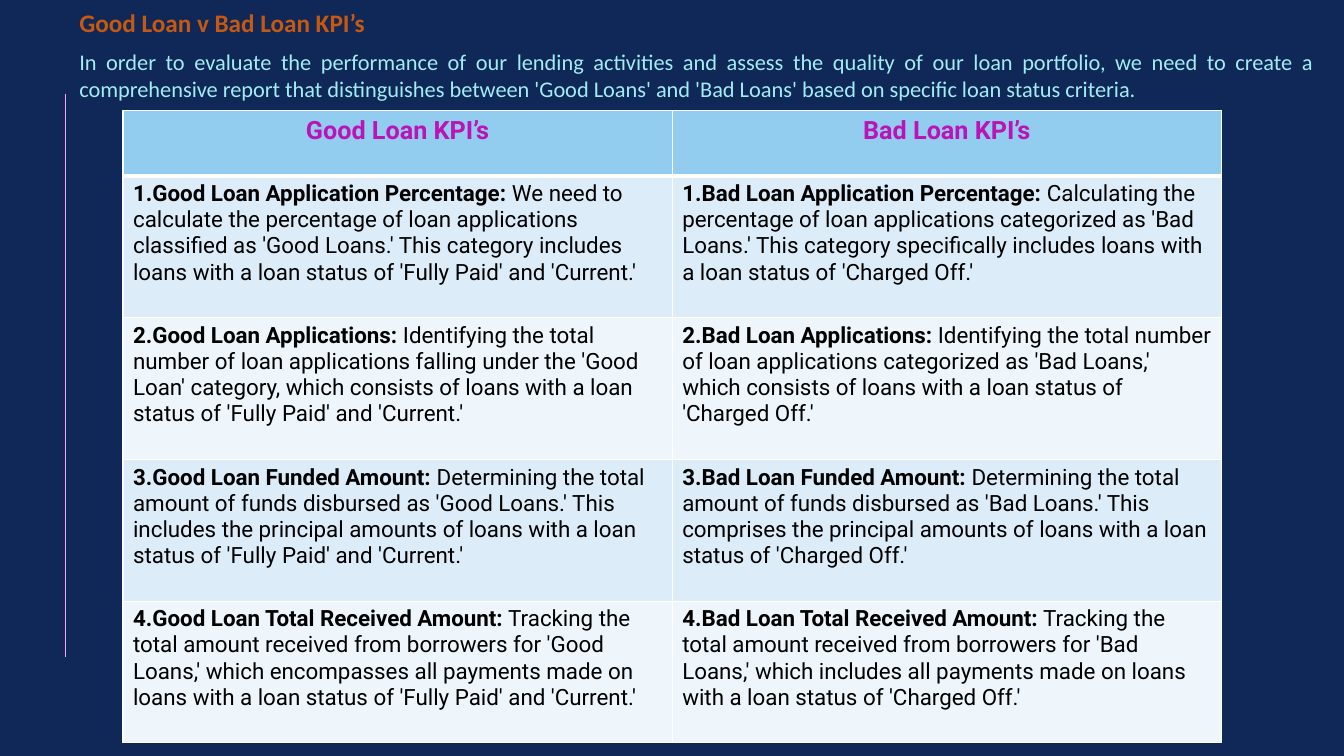
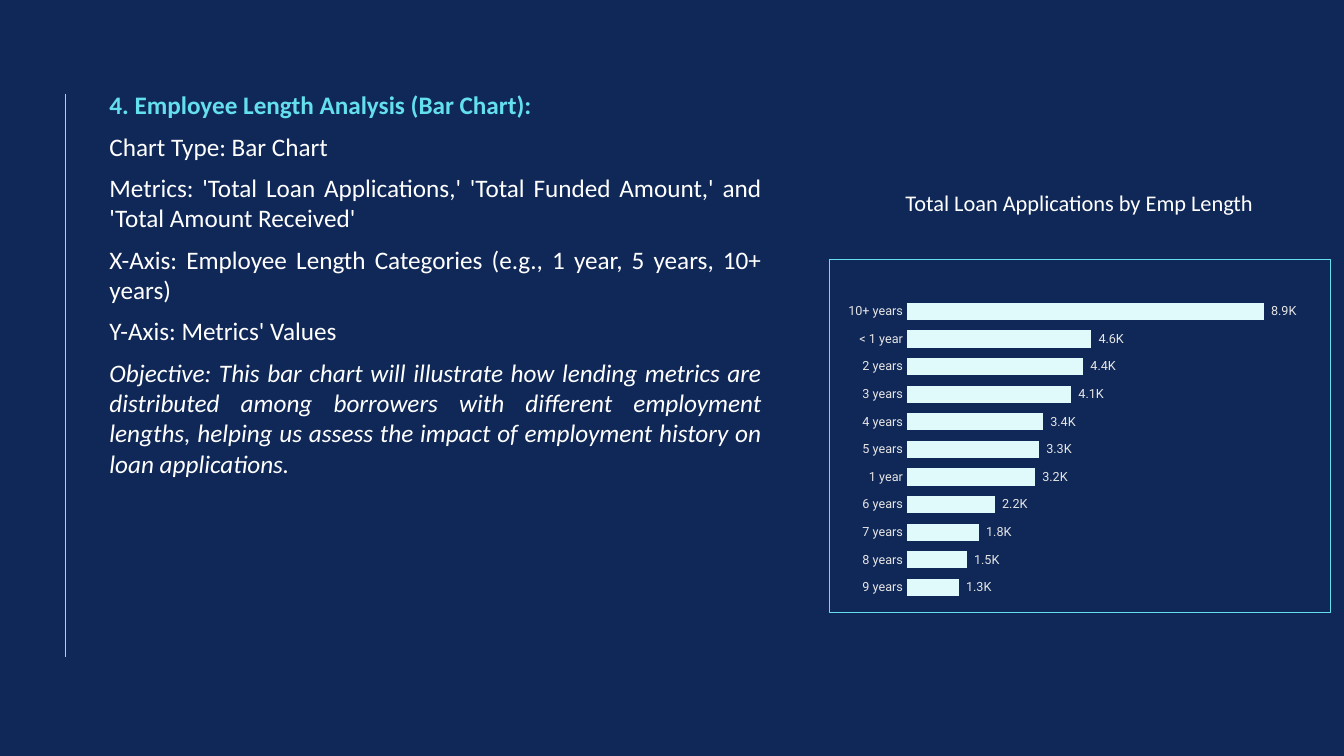
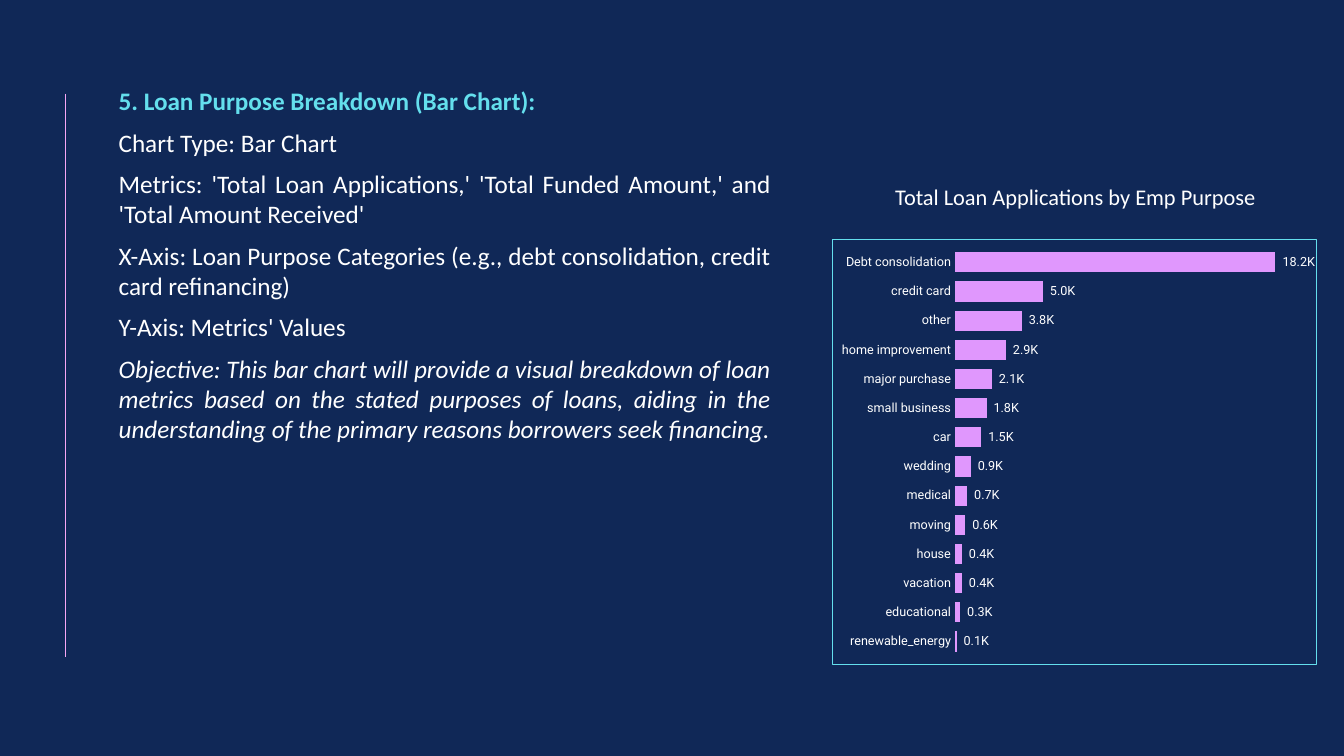
from lxml.etree import SubElement
from pptx import Presentation
from pptx.chart.data import CategoryChartData
from pptx.dml.color import RGBColor
from pptx.enum.chart import XL_CHART_TYPE, XL_LABEL_POSITION, XL_TICK_MARK
from pptx.enum.shapes import MSO_CONNECTOR
from pptx.enum.text import MSO_ANCHOR, PP_ALIGN
from pptx.oxml import parse_xml
from pptx.oxml.ns import nsdecls, qn
from pptx.util import Cm, Pt

NAVY = RGBColor(0x10, 0x28, 0x57)
PINK = RGBColor(0xF6, 0xA6, 0xF4)
WHITE = RGBColor(0xFF, 0xFF, 0xFF)
BLACK = RGBColor(0, 0, 0)
CYAN = RGBColor(0x64, 0xDF, 0xED)
PALE_CYAN = RGBColor(0xA2, 0xEC, 0xF4)
ICE = RGBColor(0xE0, 0xF9, 0xFB)
ORCHID = RGBColor(0xE0, 0x97, 0xFD)
GREY = RGBColor(0xE7, 0xE6, 0xE6)
ORANGE = RGBColor(0xC5, 0x59, 0x11)
MAGENTA = RGBColor(0xBB, 0x13, 0xB7)
HEADER_BLUE = RGBColor(0x92, 0xCD, 0xF0)
BAND_BLUES = (RGBColor(0xDC, 0xED, 0xF9), RGBColor(0xEE, 0xF6, 0xFC))

BODY_FONT = "Calibri"
DATA_FONT = "Roboto"
THOUSANDS = '\\ 0.0,"K"'

KPI_HEADERS = ("Good Loan KPI’s", "Bad Loan KPI’s")
KPI_ROWS = [
    (("1.Good Loan Application Percentage:",
      " We need to calculate the percentage of loan applications classified as 'Good Loans.' "
      "This category includes loans with a loan status of 'Fully Paid' and 'Current.'"),
     ("1.Bad Loan Application Percentage:",
      " Calculating the percentage of loan applications categorized as 'Bad Loans.' "
      "This category specifically includes loans with a loan status of 'Charged Off.'")),
    (("2.Good Loan Applications:",
      " Identifying the total number of loan applications falling under the 'Good Loan' "
      "category, which consists of loans with a loan status of 'Fully Paid' and 'Current.'"),
     ("2.Bad Loan Applications:",
      " Identifying the total number of loan applications categorized as 'Bad Loans,' "
      "which consists of loans with a loan status of 'Charged Off.'")),
    (("3.Good Loan Funded Amount:",
      " Determining the total amount of funds disbursed as 'Good Loans.' This includes "
      "the principal amounts of loans with a loan status of 'Fully Paid' and 'Current.'"),
     ("3.Bad Loan Funded Amount:",
      " Determining the total amount of funds disbursed as 'Bad Loans.' This comprises "
      "the principal amounts of loans with a loan status of 'Charged Off.'")),
    (("4.Good Loan Total Received Amount:",
      " Tracking the total amount received from borrowers for 'Good Loans,' which encompasses "
      "all payments made on loans with a loan status of 'Fully Paid' and 'Current.'"),
     ("4.Bad Loan Total Received Amount:",
      " Tracking the total amount received from borrowers for 'Bad Loans,' which includes "
      "all payments made on loans with a loan status of 'Charged Off.'")),
]
EMP_LENGTHS = {
    "9 years": 1300, "8 years": 1500, "7 years": 1800, "6 years": 2200,
    "1 year": 3200, "5 years": 3300, "4 years": 3400, "3 years": 4100,
    "2 years": 4400, "< 1 year": 4600, "10+ years": 8900,
}
PURPOSES = {
    "renewable_energy": 100, "educational": 300, "vacation": 400, "house": 400,
    "moving": 600, "medical": 700, "wedding": 900, "car": 1500,
    "small business": 1800, "major purchase": 2100, "home improvement": 2900,
    "other": 3800, "credit card": 5000, "Debt consolidation": 18200,
}


def style(font, size, color, name=BODY_FONT, bold=False, italic=False):
    font.size, font.name = Pt(size), name
    font.bold, font.italic = bold, italic
    font.color.rgb = color


def cm_box(box):
    return [Cm(length) for length in box]


def new_slide(prs):
    """Add a blank slide with the thin vertical rule at its left."""
    s = prs.slides.add_slide(prs.slide_layouts[6])
    rule = s.shapes.add_connector(MSO_CONNECTOR.STRAIGHT, Cm(1.65), Cm(2.36), Cm(1.65), Cm(16.56))
    rule.line.color.rgb = PINK
    rule.line.width = Pt(0.5)
    SubElement(rule._element.spPr, qn("a:effectLst"))
    return s


def add_text(s, box, paragraphs, align=PP_ALIGN.JUSTIFY, space_after=8, anchor=MSO_ANCHOR.TOP):
    """Write paragraphs given as (text, style options)."""
    tf = s.shapes.add_textbox(*cm_box(box)).text_frame
    tf.word_wrap = True
    tf.vertical_anchor = anchor
    for i, (text, options) in enumerate(paragraphs):
        p = tf.add_paragraph() if i else tf.paragraphs[0]
        p.text = text
        p.alignment = align
        p.space_after = Pt(space_after)
        style(p.runs[0].font, **options)


def fill_cell(cell, color, bottom_width=1):
    """Give a cell white borders and a plain fill."""
    tc_pr = cell._tc.get_or_add_tcPr()
    for side, width in (("L", 1), ("R", 1), ("T", 1), ("B", bottom_width)):
        ln = SubElement(tc_pr, qn(f"a:ln{side}"), w=str(Pt(width)))
        SubElement(SubElement(ln, qn("a:solidFill")), qn("a:srgbClr"), val=str(WHITE))
    cell.fill.solid()
    cell.fill.fore_color.rgb = color


def add_kpi_table(s, left, top, col_width, header_height, row_height):
    height = header_height + row_height * len(KPI_ROWS)
    box = cm_box((left, top, col_width * 2, height))
    table = s.shapes.add_table(len(KPI_ROWS) + 1, 2, *box).table
    for column in table.columns:
        column.width = Cm(col_width)
    for i, row in enumerate(table.rows):
        row.height = Cm(row_height if i else header_height)

    for cell, text in zip(table.rows[0].cells, KPI_HEADERS):
        fill_cell(cell, HEADER_BLUE, bottom_width=3)
        p = cell.text_frame.paragraphs[0]
        p.text = text
        p.alignment = PP_ALIGN.CENTER
        style(p.runs[0].font, 18, MAGENTA, DATA_FONT, bold=True)

    for i, kpis in enumerate(KPI_ROWS):
        for cell, kpi in zip(table.rows[i + 1].cells, kpis):
            fill_cell(cell, BAND_BLUES[i % 2])
            p = cell.text_frame.paragraphs[0]
            for text, bold in zip(kpi, (True, False)):
                r = p.add_run()
                r.text = text
                style(r.font, 16, BLACK, DATA_FONT, bold=bold)


def frame_chart(chart):
    border = parse_xml(
        f'<c:spPr {nsdecls("c", "a")}><a:noFill/><a:ln w="{Pt(0.75)}"><a:solidFill>'
        f'<a:srgbClr val="{CYAN}"/></a:solidFill></a:ln></c:spPr>')
    chart._chartSpace.find(qn("c:chart")).addnext(border)


def place_plot(chart, x, y, w, h):
    """Fix the inner plot area, in fractions of the chart."""
    plot_area = chart._chartSpace.find(qn("c:chart")).find(qn("c:plotArea"))
    for old in plot_area.findall(qn("c:layout")):
        plot_area.remove(old)
    layout = parse_xml(
        f'<c:layout {nsdecls("c")}><c:manualLayout><c:layoutTarget val="inner"/>'
        f'<c:xMode val="edge"/><c:yMode val="edge"/><c:x val="{x}"/><c:y val="{y}"/>'
        f'<c:w val="{w}"/><c:h val="{h}"/></c:manualLayout></c:layout>')
    plot_area.insert(0, layout)


def add_bar_chart(s, box, values, color, label_color, gap, plot_box=None):
    data = CategoryChartData(number_format=THOUSANDS)
    data.categories = list(values)
    data.add_series("Series 1", list(values.values()))
    chart = s.shapes.add_chart(XL_CHART_TYPE.BAR_CLUSTERED, *cm_box(box), data).chart
    chart.has_title = chart.has_legend = False
    style(chart.font, 10, BLACK, DATA_FONT)
    frame_chart(chart)
    if plot_box:
        place_plot(chart, *plot_box)

    axis = chart.category_axis
    axis.major_tick_mark = axis.minor_tick_mark = XL_TICK_MARK.NONE
    axis.format.line.fill.background()
    style(axis.tick_labels.font, 9, label_color, DATA_FONT)
    chart.value_axis.visible = False
    chart.value_axis.has_major_gridlines = False

    plot = chart.plots[0]
    plot.gap_width = gap
    plot.vary_by_categories = False
    series = plot.series[0]
    series.format.fill.solid()
    series.format.fill.fore_color.rgb = color
    labels = series.data_labels
    labels.show_value = True
    labels.position = XL_LABEL_POSITION.OUTSIDE_END
    labels.number_format = THOUSANDS
    labels.number_format_is_linked = False
    style(labels.font, 9, label_color, DATA_FONT)


def kpi_slide(prs):
    s = new_slide(prs)
    add_kpi_table(s, 3.1, 2.79, 13.84, header_height=1.65, row_height=3.57)
    add_text(s, (1.75, 0.05, 31.62, 2.49), [
        ("Good Loan v Bad Loan KPI’s", dict(size=18, color=ORANGE, bold=True)),
        ("In order to evaluate the performance of our lending activities and assess the quality "
         "of our loan portfolio, we need to create a comprehensive report that distinguishes "
         "between 'Good Loans' and 'Bad Loans' based on specific loan status criteria.",
         dict(size=16, color=PALE_CYAN)),
    ])


def analysis_slide(prs, text_box, heading, x_axis, objective, caption, caption_box, **chart):
    """Build a slide with a description at left and a captioned bar chart at right."""
    s = new_slide(prs)
    body = dict(size=18, color=WHITE)
    add_text(s, text_box, [
        (heading, dict(size=18, color=CYAN, bold=True)),
        ("Chart Type: Bar Chart", body),
        ("Metrics: 'Total Loan Applications,' 'Total Funded Amount,' and "
         "'Total Amount Received'", body),
        (f"X-Axis: {x_axis}", body),
        ("Y-Axis: Metrics' Values", body),
        (f"Objective: This bar chart will {objective}", dict(body, italic=True)),
    ])
    add_bar_chart(s, **chart)
    add_text(s, caption_box, [(caption, dict(size=16, color=WHITE))],
             PP_ALIGN.CENTER, space_after=0, anchor=MSO_ANCHOR.MIDDLE)


def main():
    prs = Presentation()
    prs.slide_width, prs.slide_height = Cm(33.87), Cm(19.05)
    background = prs.slide_master.background.fill
    background.solid()
    background.fore_color.rgb = NAVY

    kpi_slide(prs)
    analysis_slide(
        prs, (2.51, 2.13, 16.94, 11.96),
        "4. Employee Length Analysis (Bar Chart):",
        "Employee Length Categories (e.g., 1 year, 5 years, 10+ years)",
        "illustrate how lending metrics are distributed among borrowers with different "
        "employment lengths, helping us assess the impact of employment history on "
        "loan applications.",
        "Total Loan Applications by Emp Length", (22.17, 4.67, 10.06, 0.86),
        box=(20.88, 6.53, 12.67, 8.92), values=EMP_LENGTHS, color=ICE,
        label_color=GREY, gap=60, plot_box=(0.155, 0.108, 0.8, 0.86))
    analysis_slide(
        prs, (2.74, 2.03, 16.94, 11.96),
        "5. Loan Purpose Breakdown (Bar Chart):",
        "Loan Purpose Categories (e.g., debt consolidation, credit card refinancing)",
        "provide a visual breakdown of loan metrics based on the stated purposes of loans, "
        "aiding in the understanding of the primary reasons borrowers seek financing.",
        "Total Loan Applications by Emp Purpose", (22.02, 4.55, 10.16, 0.81),
        box=(20.96, 6.02, 12.24, 10.74), values=PURPOSES, color=ORCHID,
        label_color=WHITE, gap=45)
    prs.save("out.pptx")


if __name__ == "__main__":
    main()
